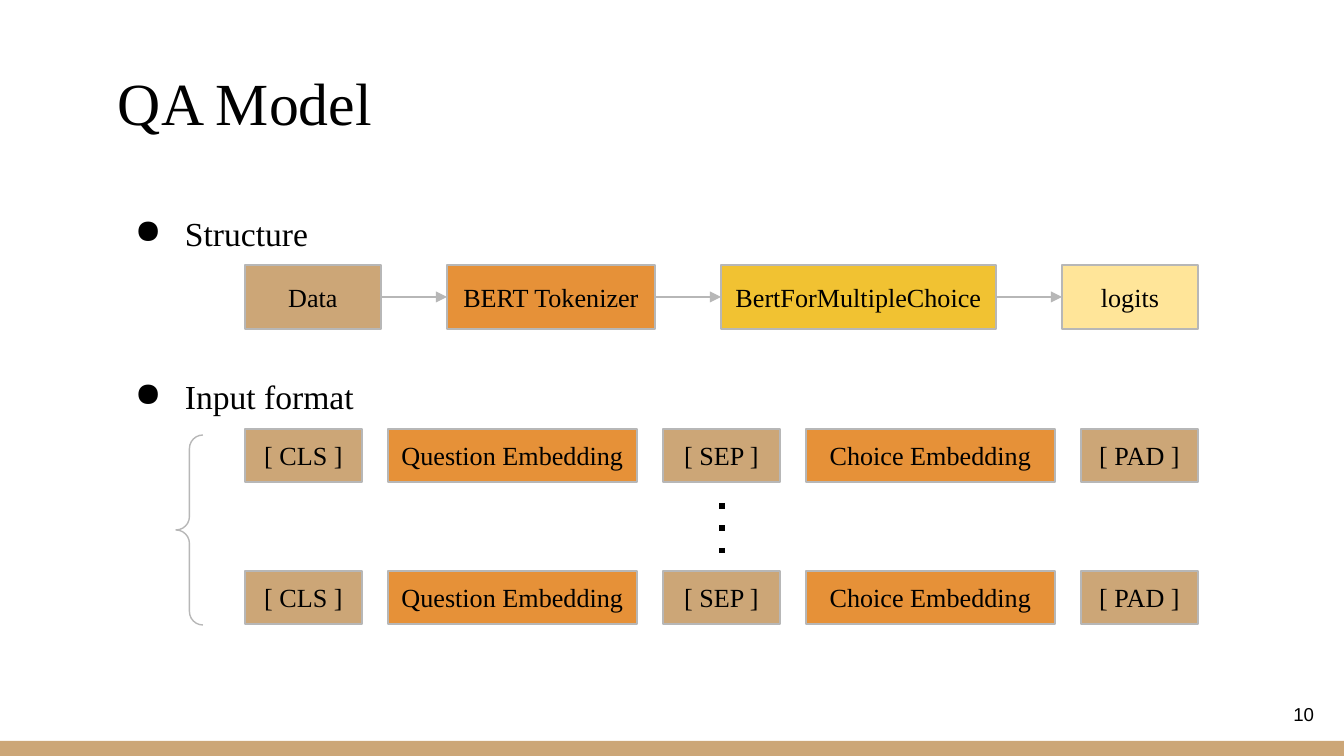
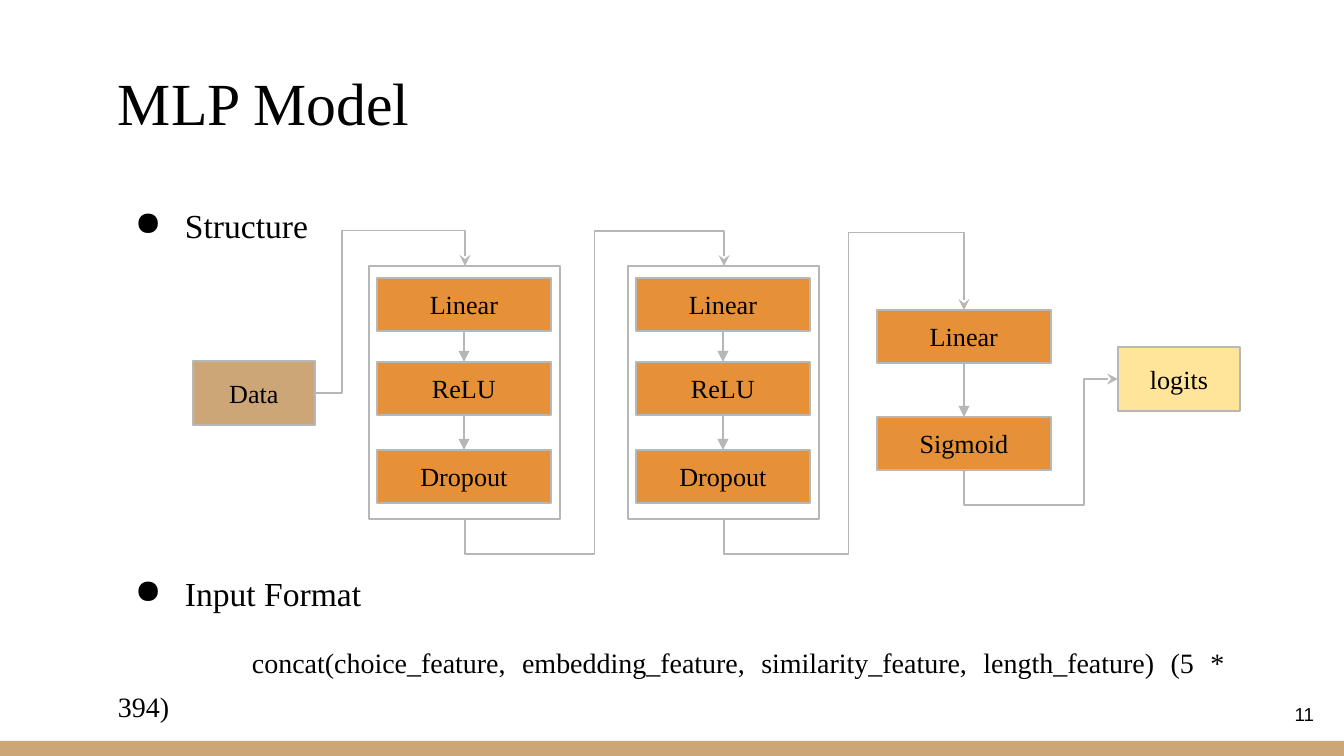
from dataclasses import dataclass
from lxml.etree import SubElement
from pptx import Presentation
from pptx.dml.color import RGBColor
from pptx.enum.shapes import MSO_CONNECTOR, MSO_SHAPE
from pptx.enum.text import MSO_ANCHOR, PP_ALIGN
from pptx.oxml.ns import qn
from pptx.util import Emu, Pt

PX = 914400 / 134.4


@dataclass(frozen=True)
class Theme:
    tan: str = "CCA677"
    orange: str = "E69138"
    gold: str = "F1C232"
    cream: str = "FFE599"
    grey: str = "B7B7B7"
    black: str = "000000"
    serif: str = "Times New Roman"
    sans: str = "Arial"
    title: int = 32
    body: int = 18
    detail: int = 15
    label: int = 14
    number: int = 10
    line: float = 0.75
    inset: int = 13


theme = Theme()


def add_box(page, left, top, width, height, text="", fill=None, shape=MSO_SHAPE.RECTANGLE):
    box = page.shapes.add_shape(shape, *(Emu(round(n * PX)) for n in (left, top, width, height)))
    box.shadow.inherit = False
    box.line.color.rgb = RGBColor.from_string(theme.grey)
    box.line.width = Pt(theme.line)
    if fill:
        box.fill.solid()
        box.fill.fore_color.rgb = RGBColor.from_string(fill)
    else:
        box.fill.background()
    if text:
        box.text_frame.vertical_anchor = MSO_ANCHOR.MIDDLE
        para = box.text_frame.paragraphs[0]
        para.text = text
        para.alignment = PP_ALIGN.CENTER
        para.font.name = theme.serif
        para.font.size = Pt(theme.label)
        para.font.color.rgb = RGBColor.from_string(theme.black)
    return box


def add_line(page, start=(0, 0), end=(0, 0), kind=MSO_CONNECTOR.STRAIGHT, head="triangle",
             color=theme.grey, width=theme.line):
    line = page.shapes.add_connector(kind, *(Emu(round(n * PX)) for n in (*start, *end)))
    line.line.color.rgb = RGBColor.from_string(color)
    line.line.width = Pt(width)
    if head:
        SubElement(line.line._get_or_add_ln(), qn("a:tailEnd"), type=head)
    SubElement(line.element.spPr, qn("a:effectLst"))
    return line


deck = Presentation()
deck.slide_width = Emu(round(1344 * PX))
deck.slide_height = Emu(round(756 * PX))

# Shared frame: band, title, bulleted headings, slide number
pages = []
for title, number, headings, spacing, gap in (
    ("QA Model", "10", ("Structure", "Input format"), 1.5, 55),
    ("MLP Model", "11", ("Structure", "Input Format"), 1.3, 169),
):
    page = deck.slides.add_slide(deck.slide_layouts[6])
    pages.append(page)
    band = add_box(page, 0, 741, 1344, 15, fill=theme.tan)
    band.line.fill.background()

    frames = []
    for area, anchor in (
        ((105, 180, 1134, 528), MSO_ANCHOR.TOP),
        ((105, 66, 1134, 85), MSO_ANCHOR.BOTTOM),
        ((1246, 685, 81, 58), MSO_ANCHOR.MIDDLE),
    ):
        frame = page.shapes.add_textbox(*(Emu(round(n * PX)) for n in area)).text_frame
        frame.word_wrap = True
        frame.vertical_anchor = anchor
        frame.margin_left = frame.margin_right = Emu(round(theme.inset * PX))
        frame.margin_top = frame.margin_bottom = Emu(round(theme.inset * PX))
        frames.append(frame)
    body, title_frame, number_frame = frames

    for frame, text, font, size, align in (
        (title_frame, title, theme.serif, theme.title, PP_ALIGN.LEFT),
        (number_frame, number, theme.sans, theme.number, PP_ALIGN.RIGHT),
    ):
        para = frame.paragraphs[0]
        para.text = text
        para.alignment = align
        para.font.name = font
        para.font.size = Pt(size)
        para.font.color.rgb = RGBColor.from_string(theme.black)

    for heading, before in zip(headings, (10, gap)):
        para = body.paragraphs[0] if heading == headings[0] else body.add_paragraph()
        para.text = heading
        para.space_before = Pt(before)
        properties = para._p.get_or_add_pPr()
        properties.set("marL", str(round(67 * PX)))
        properties.set("indent", str(round(-50 * PX)))
        SubElement(properties, qn("a:buChar"), char="●")
    if title == "MLP Model":
        para = body.add_paragraph()
        para.text = ("concat(choice_feature, embedding_feature, similarity_feature, "
                     "length_feature) (5 * 394)")
        para.space_before = para.space_after = Pt(12)
        para._p.get_or_add_pPr().set("indent", str(round(134 * PX)))
    for para in body.paragraphs:
        para.alignment = PP_ALIGN.JUSTIFY
        para.line_spacing = spacing
        para.font.name = theme.serif
        para.font.size = Pt(theme.body if para.text in headings else theme.detail)
        para.font.color.rgb = RGBColor.from_string(theme.black)

qa_page, mlp_page = pages

# QA model: structure chain
left, previous = 245, None
for text, width, fill in (
    ("Data", 136, theme.tan),
    ("BERT Tokenizer", 208, theme.orange),
    ("BertForMultipleChoice", 275, theme.gold),
    ("logits", 136, theme.cream),
):
    box = add_box(qa_page, left, 265, width, 64, text, fill)
    if previous:
        arrow = add_line(qa_page)
        arrow.begin_connect(previous, 3)
        arrow.end_connect(box, 1)
    left, previous = left + width + 66, box

# QA model: token rows, brace and dots between them
for top in (429, 571):
    left = 245
    for text, width, fill in (
        ("[ CLS ]", 117, theme.tan),
        ("Question Embedding", 249, theme.orange),
        ("[ SEP ]", 117, theme.tan),
        ("Choice Embedding", 249, theme.orange),
        ("[ PAD ]", 117, theme.tan),
    ):
        add_box(qa_page, left, top, width, 53, text, fill)
        left += width + 26
brace = add_box(qa_page, 176, 435, 27, 190, shape=MSO_SHAPE.LEFT_BRACE)
brace.adjustments[0] = 0.5
dots = add_line(qa_page, (722, 503), (722, 555), head=None, color=theme.black, width=3)
SubElement(dots.line._get_or_add_ln(), qn("a:prstDash"), val="dot")

# MLP model: layer stacks
add_box(mlp_page, 193, 361, 122, 64, "Data", theme.tan)
hidden = (("Linear", 278), ("ReLU", 362), ("Dropout", 450))
output = (("Linear", 310), ("Sigmoid", 417))
for left, layers in ((377, hidden), (636, hidden), (877, output)):
    if layers is hidden:
        add_box(mlp_page, left - 8, 266, 191, 253)
    previous = None
    for text, top in layers:
        box = add_box(mlp_page, left, top, 174, 53, text, theme.orange)
        if previous:
            arrow = add_line(mlp_page)
            arrow.begin_connect(previous, 2)
            arrow.end_connect(box, 0)
        previous = box
add_box(mlp_page, 1118, 347, 122, 64, "logits", theme.cream)

# MLP model: elbow arrows between stacks; those leaving downward are turned by 270 degrees
for start, end, turned, adjustments in (
    ((315, 393), (465, 266), False, (18100, 127700)),
    ((465, 519), (724, 266), True, (-13800, 50000, 113800)),
    ((724, 519), (964, 310), True, (-16700, 51800, 137100)),
    ((964, 470), (1118, 379), True, (-38400, 78000)),
):
    if turned:
        middle_x, middle_y = (start[0] + end[0]) / 2, (start[1] + end[1]) / 2
        half_width, half_height = (start[1] - end[1]) / 2, (end[0] - start[0]) / 2
        start = (middle_x - half_width, middle_y - half_height)
        end = (middle_x + half_width, middle_y + half_height)
    elbow = add_line(mlp_page, start, end, MSO_CONNECTOR.ELBOW, "stealth")
    if turned:
        elbow.element.spPr.find(qn("a:xfrm")).set("rot", str(270 * 60000))
    geometry = elbow.element.spPr.find(qn("a:prstGeom"))
    geometry.set("prst", f"bentConnector{len(adjustments) + 2}")
    guides = geometry.find(qn("a:avLst"))
    for index, value in enumerate(adjustments, 1):
        SubElement(guides, qn("a:gd"), name=f"adj{index}", fmla=f"val {value}")

deck.save("out.pptx")
